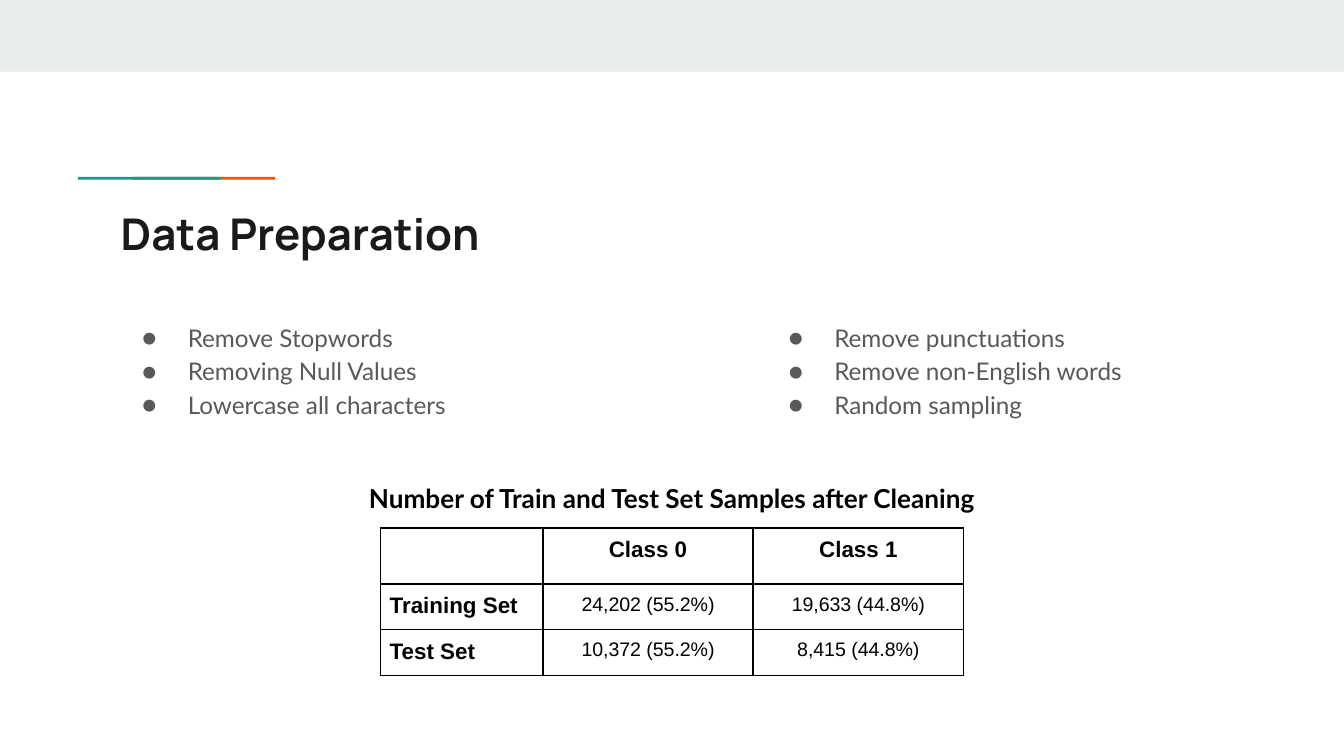
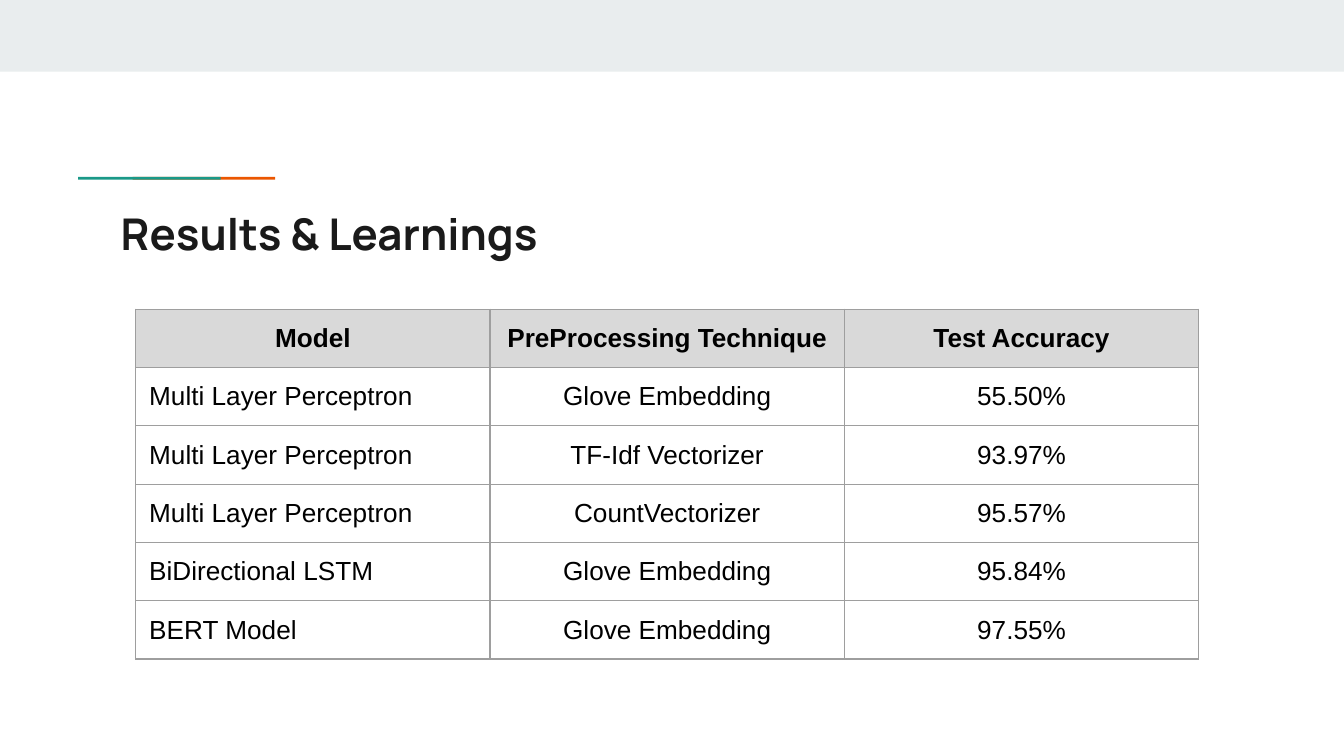
from copy import deepcopy
from dataclasses import dataclass

from lxml.etree import SubElement
from pptx import Presentation
from pptx.dml.color import RGBColor
from pptx.enum.shapes import MSO_SHAPE
from pptx.enum.text import MSO_ANCHOR, PP_ALIGN
from pptx.oxml.ns import qn
from pptx.util import Inches, Pt


@dataclass(frozen=True)
class Theme:
    band: str = "E9EDEE"
    teal: str = "1A9988"
    orange: str = "EB5600"
    title: str = "1A1A1A"
    body: str = "595959"
    ink: str = "000000"
    grid: str = "9E9E9E"
    header: str = "D9D9D9"
    title_font: str = "Manrope"
    body_font: str = "Lato"
    table_font: str = "Arial"
    title_size: float = 23.4
    body_size: float = 13
    caption_size: float = 14
    label_size: float = 12
    value_size: float = 10.5
    result_size: float = 14


@dataclass(frozen=True)
class TableStyle:
    border: str
    border_width: float
    margin: float
    label_size: float
    value_size: float
    bold_labels: bool
    anchor: MSO_ANCHOR
    header_fill: str = ""


THEME = Theme()
WIDTH, HEIGHT = Inches(10), Inches(5.625)

SAMPLE_STYLE = TableStyle(THEME.ink, 1, 0.07, THEME.label_size, THEME.value_size,
                          True, MSO_ANCHOR.TOP)
RESULT_STYLE = TableStyle(THEME.grid, 0.75, 0.1, THEME.result_size, THEME.result_size,
                          False, MSO_ANCHOR.MIDDLE, THEME.header)

SAMPLE_ROWS = [
    ["", "Class 0", "Class 1"],
    ["Training Set", "24,202 (55.2%)", "19,633 (44.8%)"],
    ["Test Set", "10,372 (55.2%)", "8,415 (44.8%)"],
]
RESULT_ROWS = [
    ["Model", "PreProcessing Technique", "Test Accuracy"],
    ["Multi Layer Perceptron", "Glove Embedding", "55.50%"],
    ["Multi Layer Perceptron", "TF-Idf Vectorizer", "93.97%"],
    ["Multi Layer Perceptron", "CountVectorizer", "95.57%"],
    ["BiDirectional LSTM", "Glove Embedding", "95.84%"],
    ["BERT Model", "Glove Embedding", "97.55%"],
]


def across(percent):
    return round(WIDTH * percent / 100)


def down(percent):
    return round(HEIGHT * percent / 100)


def place(left, top, width, height):
    return across(left), down(top), across(width), down(height)


def set_font(paragraph, name, size, color, bold=False):
    for target in (paragraph, *paragraph.runs):
        font = target.font
        font.name, font.size, font.bold = name, Pt(size), bold
        font.color.rgb = RGBColor.from_string(color)
    if paragraph.runs:
        ending = SubElement(paragraph._p, qn("a:endParaRPr"), sz=str(round(size * 100)))
        for child in paragraph.runs[-1].font._rPr:
            ending.append(deepcopy(child))


def set_margins(target, margin):
    target.margin_left = target.margin_right = Inches(margin)
    target.margin_top = target.margin_bottom = Inches(margin)


def add_bar(slide, area, color, rotation=0):
    shape = slide.shapes.add_shape(MSO_SHAPE.RECTANGLE, *place(*area))
    shape.rotation = rotation
    shape.shadow.inherit = False
    shape.fill.solid()
    shape.fill.fore_color.rgb = RGBColor.from_string(color)
    shape.line.fill.background()


def add_text(slide, area, lines, name, size, color, bold=False, align=PP_ALIGN.LEFT):
    frame = slide.shapes.add_textbox(*place(*area)).text_frame
    frame.word_wrap = True
    set_margins(frame, 0.1)
    frame.text = "\n".join(lines)
    for paragraph in frame.paragraphs:
        paragraph.alignment = align
        set_font(paragraph, name, size, color, bold)
    return frame


def add_bullets(slide, area, lines):
    frame = add_text(slide, area, lines, THEME.body_font, THEME.body_size,
                     THEME.body, align=PP_ALIGN.JUSTIFY)
    for paragraph in frame.paragraphs:
        paragraph.line_spacing = 1.15
        properties = paragraph._p.get_or_add_pPr()
        properties.set("marL", str(Inches(0.5)))
        properties.set("indent", str(Inches(-0.34)))
        default_font = properties.find(qn("a:defRPr"))
        for tag, attributes in (
            ("a:buSzPts", {"val": str(THEME.body_size * 100)}),
            ("a:buFont", {"typeface": THEME.body_font}),
            ("a:buChar", {"char": "●"}),
        ):
            default_font.addprevious(properties.makeelement(qn(tag), attributes))


def set_borders(cell, color, width):
    properties = cell._tc.get_or_add_tcPr()
    for side in ("lnL", "lnR", "lnT", "lnB"):
        line = SubElement(properties, qn(f"a:{side}"), w=str(Pt(width)))
        fill = SubElement(line, qn("a:solidFill"))
        SubElement(fill, qn("a:srgbClr"), val=color)


def style_cell(cell, style, is_header, is_label):
    set_margins(cell, style.margin)
    set_borders(cell, style.border, style.border_width)
    if is_header and style.header_fill:
        cell.fill.solid()
        cell.fill.fore_color.rgb = RGBColor.from_string(style.header_fill)
    else:
        cell.fill.background()
    cell.vertical_anchor = style.anchor
    paragraph = cell.text_frame.paragraphs[0]
    paragraph.alignment = PP_ALIGN.LEFT if is_label and not is_header else PP_ALIGN.CENTER
    size = style.label_size if is_header or is_label else style.value_size
    bold = is_header or (is_label and style.bold_labels)
    set_font(paragraph, THEME.table_font, size, THEME.ink, bold)


def add_table(slide, left, top, widths, heights, rows, style):
    area = place(left, top, sum(widths), sum(heights))
    table = slide.shapes.add_table(len(rows), len(widths), *area).table
    table.first_row = table.horz_banding = False
    for column, width in zip(table.columns, widths):
        column.width = across(width)
    for row, height in zip(table.rows, heights):
        row.height = down(height)
    for row_index, texts in enumerate(rows):
        for column_index, text in enumerate(texts):
            cell = table.cell(row_index, column_index)
            cell.text = text
            style_cell(cell, style, row_index == 0, column_index == 0)


def add_slide(presentation, title):
    slide = presentation.slides.add_slide(presentation.slide_layouts[6])
    add_bar(slide, (0, 0, 100, 9.5), THEME.band)
    for left, color in ((15.07, THEME.orange), (11.02, THEME.teal)):
        add_bar(slide, (left, 14.15, 0.2, 18.85), color, rotation=270)
    add_text(slide, (8, 25.6, 84.1, 10.5), [title], THEME.title_font,
             THEME.title_size, THEME.title, bold=True)
    return slide


def add_preparation_slide(presentation):
    slide = add_slide(presentation, "Data Preparation")
    add_bullets(slide, (8, 40.35, 49.7, 31.3),
                ["Remove Stopwords", "Removing Null Values", "Lowercase all characters"])
    add_table(slide, 28.3, 69.85, [12.1, 15.65, 15.65], [7.4, 5.8, 5.8],
              SAMPLE_ROWS, SAMPLE_STYLE)
    add_bullets(slide, (56.1, 40.35, 32.8, 16.4),
                ["Remove punctuations", "Remove non-English words", "Random sampling"])
    add_text(slide, (25.15, 62, 49.7, 7.8),
             ["Number of Train and Test Set Samples after Cleaning"],
             THEME.body_font, THEME.caption_size, THEME.ink, True, PP_ALIGN.CENTER)


def add_results_slide(presentation):
    slide = add_slide(presentation, "Results & Learnings")
    add_table(slide, 10.1, 40.9, [26.37] * 3, [7.44] * len(RESULT_ROWS),
              RESULT_ROWS, RESULT_STYLE)


def main():
    presentation = Presentation()
    presentation.slide_width, presentation.slide_height = WIDTH, HEIGHT
    add_preparation_slide(presentation)
    add_results_slide(presentation)
    presentation.save("out.pptx")


if __name__ == "__main__":
    main()
